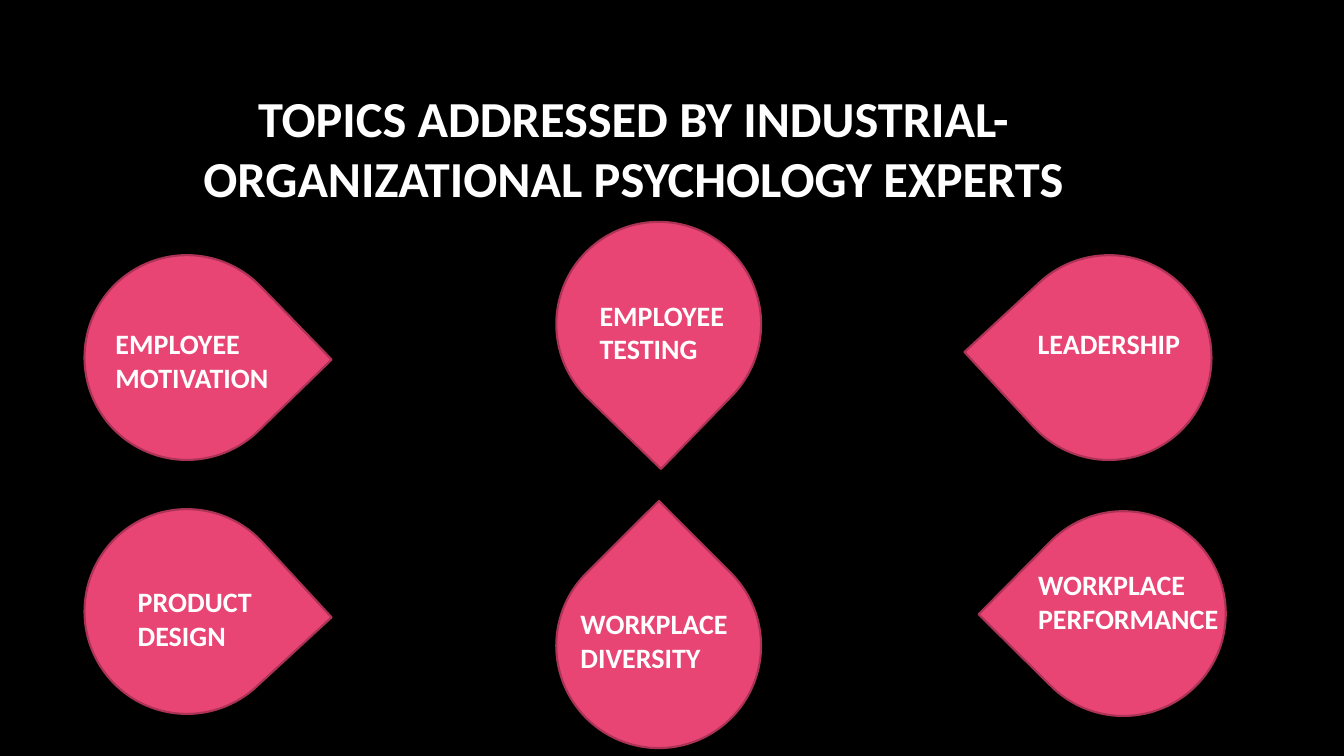
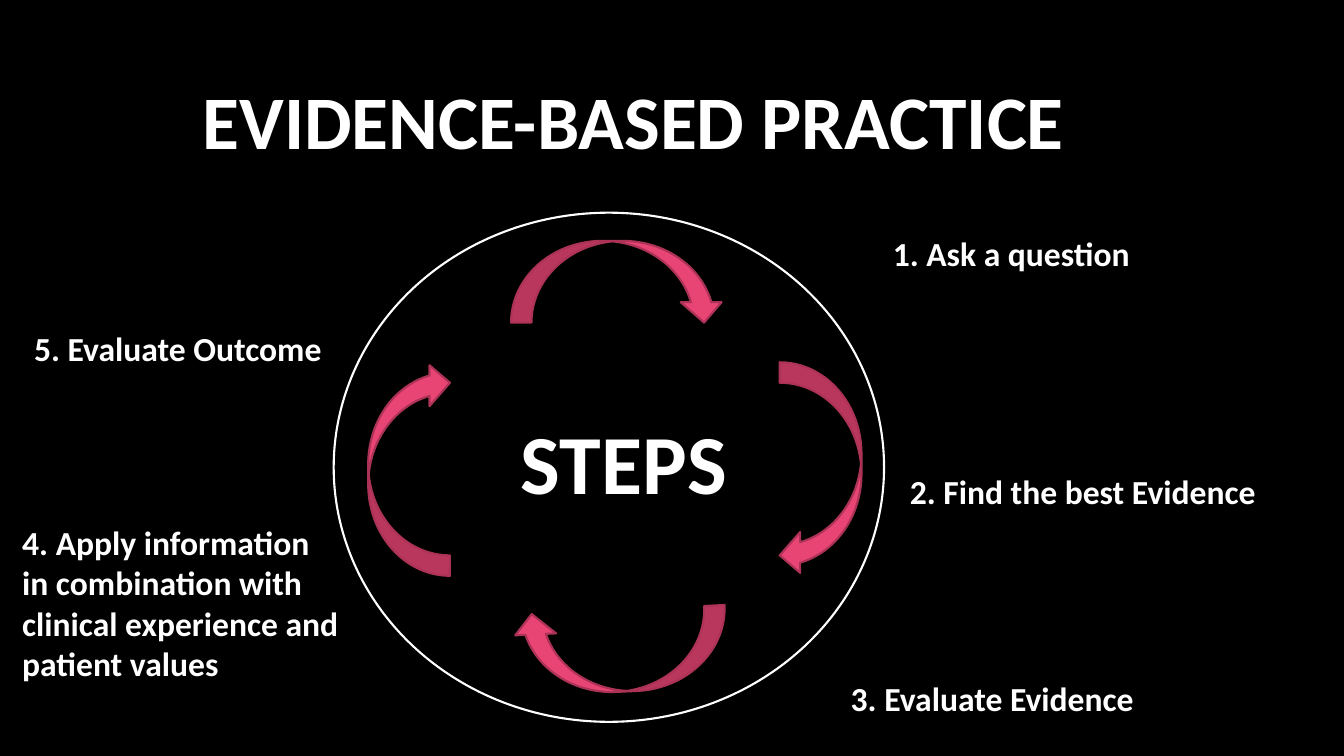
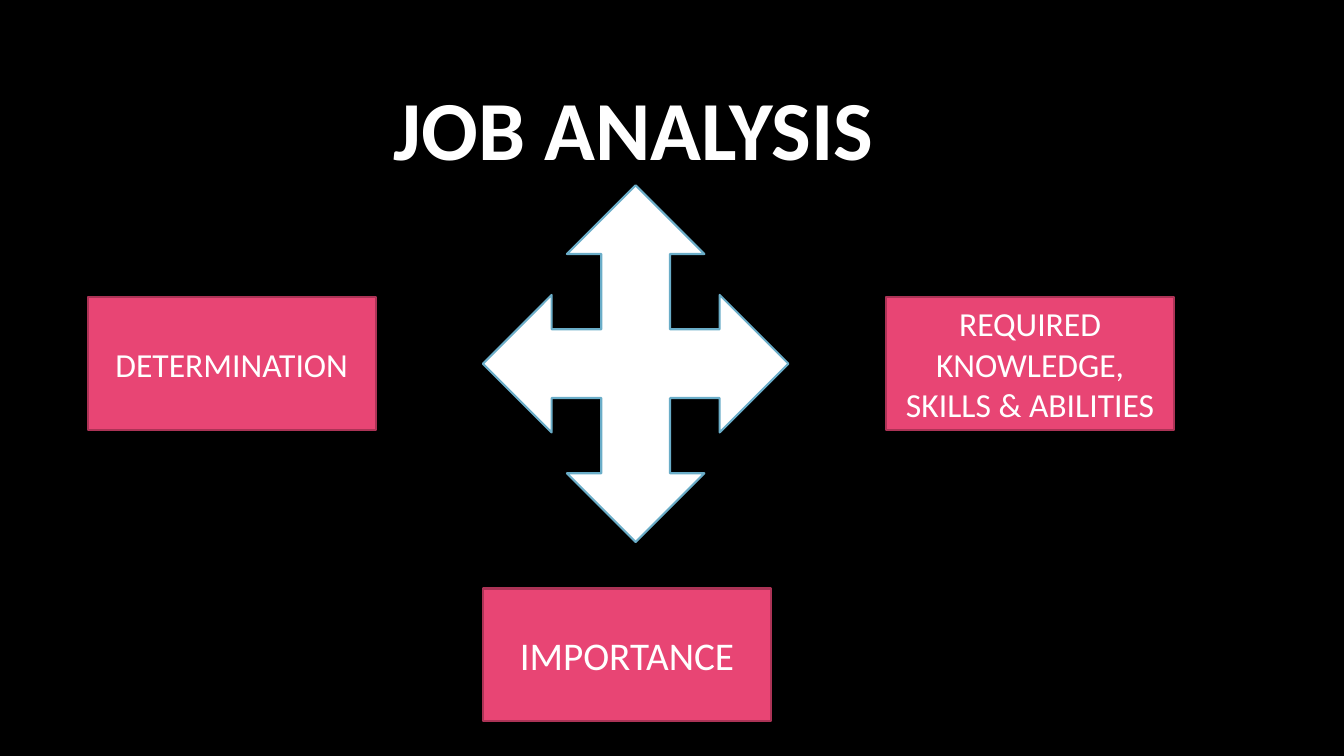
from dataclasses import dataclass

from pptx import Presentation
from pptx.dml.color import RGBColor
from pptx.enum import shapes, text
from pptx.util import Cm, Pt

MSO = shapes.MSO_SHAPE
ALIGN = text.PP_ALIGN
ANCHOR = text.MSO_ANCHOR


@dataclass(frozen=True)
class Theme:
    font: str = "Calibri"
    background: str = "000000"
    text: str = "FFFFFF"
    accent: str = "E84574"
    accent_edge: str = "AC3356"
    cross_edge: str = "6AADC8"
    line: float = 1.5
    drop_label: int = 20
    step_label: int = 24
    hub: int = 60


@dataclass(frozen=True)
class Box:
    """A rectangle in centimetres."""
    x: float
    y: float
    w: float
    h: float

    def inner(self, dx, dy, w, h):
        return Box(self.x + dx, self.y + dy, w, h)

    def centred(self, cx, cy, w, h):
        return self.inner(cx - w / 2, cy - h / 2, w, h)

    def emu(self):
        return [Cm(v) for v in (self.x, self.y, self.w, self.h)]


THEME = Theme()


# Shared parts
def rgb(value):
    return RGBColor.from_string(value)


def write(sp, words, size, bold=True, align=ALIGN.LEFT, anchor=ANCHOR.TOP):
    tf = sp.text_frame
    tf.word_wrap = True
    tf.vertical_anchor = anchor
    p = tf.paragraphs[0]
    p.text = words
    p.alignment = align
    p.font.name = THEME.font
    p.font.size = Pt(size)
    p.font.bold = bold
    p.font.color.rgb = rgb(THEME.text)


def add_text(slide, box, words, size, **style):
    write(slide.shapes.add_textbox(*box.emu()), words, size, **style)


def add_figure(slide, kind, box, fill=THEME.accent, edge=THEME.accent_edge, turn=0):
    sp = slide.shapes.add_shape(kind, *box.emu())
    sp.shadow.inherit = False
    sp.rotation = turn
    if fill:
        sp.fill.solid()
        sp.fill.fore_color.rgb = rgb(fill)
    else:
        sp.fill.background()
    sp.line.color.rgb = rgb(edge)
    sp.line.width = Pt(THEME.line)
    return sp


def add_slide(prs, title, size, top):
    slide = prs.slides.add_slide(prs.slide_layouts[6])
    slide.background.fill.solid()
    slide.background.fill.fore_color.rgb = rgb(THEME.background)
    add_text(slide, Box(1.9, top, 28.14, 4.04), title, size,
             align=ALIGN.CENTER, anchor=ANCHOR.MIDDLE)
    return slide


# Topics: teardrops pointing inwards, each with a label
def add_topic(slide, box, turn, words, dx, dy, width):
    add_figure(slide, MSO.TEAR, box, turn=turn)
    add_text(slide, box.inner(dx, dy, width, 1.96), words, THEME.drop_label)


def topics_slide(prs):
    slide = add_slide(
        prs, "TOPICS ADDRESSED BY INDUSTRIAL-ORGANIZATIONAL PSYCHOLOGY EXPERTS", 36, 1.7)
    left, middle, size = 2.13, 14.02, 5.16
    topics = [
        (left, 6.43, 45.8, "EMPLOYEE MOTIVATION", 0.53, 1.68, 4.47),
        (middle, 5.59, 134.1, "EMPLOYEE TESTING", 0.84, 1.8, 3.84),
        (25.37, 6.43, 227.2, "LEADERSHIP", 0.53, 1.68, 4.14),
        (left, 12.83, 47.3, "PRODUCT DESIGN", 1.09, 1.78, 3.91),
        (middle, 13.69, 315.1, "WORKPLACE DIVERSITY", 0.36, 1.47, 4.29),
        (25.73, 12.88, 224.7, "WORKPLACE PERFORMANCE", 0.18, 1.3, 5.1),
    ]
    for x, y, *topic in topics:
        add_topic(slide, Box(x, y, size, size), *topic)


# Cycle: ring of curved arrows with step labels around it
def add_cycle(slide, ring):
    add_figure(slide, MSO.OVAL, ring, fill=None, edge=THEME.text)
    arrows = [(7.16, 1.74, 0), (12.27, 6.46, 90), (7.21, 11.04, 177.3), (1.9, 6.46, 270)]
    for cx, cy, turn in arrows:
        add_figure(slide, MSO.CURVED_DOWN_ARROW, ring.centred(cx, cy, 5.38, 2.06), turn=turn)
    add_text(slide, ring.inner(4.47, 4.85, 6.63, 2.82), "STEPS", THEME.hub)

    steps = [
        ("1. Ask a question", 13.84, 0.38, 7.8, 1.27),
        ("2. Find the best Evidence", 14.27, 6.38, 9.98, 1.27),
        ("3. Evaluate Evidence", 12.78, 11.61, 10.03, 1.27),
        ("4. Apply information in combination with clinical experience and patient values",
         -8.1, 7.67, 8.56, 4.37),
        ("5. Evaluate Outcome", -7.8, 2.77, 9.07, 1.27),
    ]
    for words, *place in steps:
        add_text(slide, ring.inner(*place), words, THEME.step_label)


def practice_slide(prs):
    slide = add_slide(prs, "EVIDENCE-BASED PRACTICE", 54, 0.99)
    add_cycle(slide, Box(8.41, 5.36, 13.87, 12.83))


# Job analysis: four-way arrow between three boxes
def add_analysis(slide, area):
    card_w, card_h = 7.26, 3.35
    cards = [
        ("DETERMINATION", 24, 0, 2.82),
        ("IMPORTANCE", 28, 9.96, 10.16),
        ("REQUIRED KNOWLEDGE, SKILLS & ABILITIES", 24, area.w - card_w, 2.82),
    ]
    for words, size, dx, dy in cards:
        sp = add_figure(slide, MSO.RECTANGLE, area.inner(dx, dy, card_w, card_h))
        write(sp, words, size, bold=False, align=ALIGN.CENTER, anchor=ANCHOR.MIDDLE)
    add_figure(slide, MSO.QUAD_ARROW, area.inner(9.96, 0, 7.7, 8.99),
               fill=THEME.text, edge=THEME.cross_edge)


def analysis_slide(prs):
    slide = add_slide(prs, "JOB ANALYSIS", 60, 1.17)
    add_analysis(slide, Box(2.21, 4.67, 27.38, 13.51))


def main():
    prs = Presentation()
    prs.slide_width, prs.slide_height = Cm(33.87), Cm(19.05)
    topics_slide(prs)
    practice_slide(prs)
    analysis_slide(prs)
    prs.save("out.pptx")


if __name__ == "__main__":
    main()
